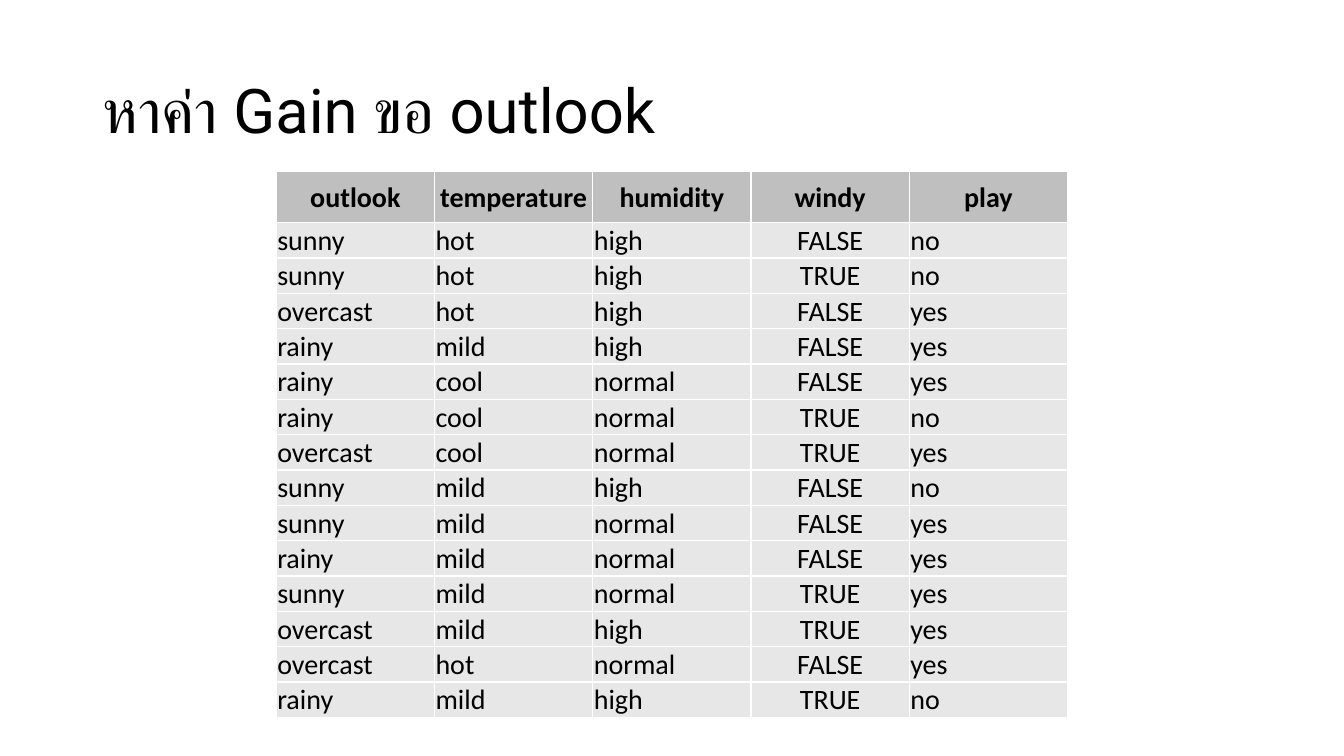
from lxml.etree import SubElement
from pptx import Presentation
from pptx.dml.color import RGBColor
from pptx.enum.text import MSO_ANCHOR, PP_ALIGN
from pptx.oxml.ns import qn
from pptx.util import Inches, Pt

HEADING = "หาค่า Gain ขอ outlook"
ATTRIBUTES = ("outlook", "temperature", "humidity", "windy", "play")
DAYS = [
    ("sunny", "hot", "high", "FALSE", "no"),
    ("sunny", "hot", "high", "TRUE", "no"),
    ("overcast", "hot", "high", "FALSE", "yes"),
    ("rainy", "mild", "high", "FALSE", "yes"),
    ("rainy", "cool", "normal", "FALSE", "yes"),
    ("rainy", "cool", "normal", "TRUE", "no"),
    ("overcast", "cool", "normal", "TRUE", "yes"),
    ("sunny", "mild", "high", "FALSE", "no"),
    ("sunny", "mild", "normal", "FALSE", "yes"),
    ("rainy", "mild", "normal", "FALSE", "yes"),
    ("sunny", "mild", "normal", "TRUE", "yes"),
    ("overcast", "mild", "high", "TRUE", "yes"),
    ("overcast", "hot", "normal", "FALSE", "yes"),
    ("rainy", "mild", "high", "TRUE", "no"),
]

BLACK = RGBColor(0x00, 0x00, 0x00)
WHITE = RGBColor(0xFF, 0xFF, 0xFF)
HEADER_GRAY = RGBColor(0xBF, 0xBF, 0xBF)
BODY_GRAY = RGBColor(0xE7, 0xE7, 0xE7)

COLUMN_WIDTH = Inches(1.57)
HEADER_HEIGHT = Inches(0.51)
DAY_HEIGHT = Inches(0.34)


def add_text(paragraph, text, font_name, size, bold=False):
    run = paragraph.add_run()
    run.text = text
    run.font.name = font_name
    run.font.size = Pt(size)
    run.font.bold = bold
    run.font.color.rgb = BLACK


def add_borders(cell):
    properties = cell._tc.get_or_add_tcPr()
    for side in ("lnL", "lnR", "lnT", "lnB"):
        border = SubElement(properties, qn(f"a:{side}"), w=str(Pt(1)))
        fill = SubElement(border, qn("a:solidFill"))
        SubElement(fill, qn("a:srgbClr"), val=str(WHITE))


def fill_cell(cell, text, is_header, centered):
    cell.margin_left = cell.margin_top = cell.margin_right = Inches(0.01)
    cell.margin_bottom = 0
    cell.vertical_anchor = MSO_ANCHOR.MIDDLE if is_header else MSO_ANCHOR.BOTTOM
    add_borders(cell)
    cell.fill.solid()
    cell.fill.fore_color.rgb = HEADER_GRAY if is_header else BODY_GRAY
    paragraph = cell.text_frame.paragraphs[0]
    paragraph.alignment = PP_ALIGN.CENTER if centered else PP_ALIGN.LEFT
    add_text(paragraph, text, "Calibri", 20, is_header)


presentation = Presentation()
presentation.slide_width = Inches(13.33)
presentation.slide_height = Inches(7.5)
slide = presentation.slides.add_slide(presentation.slide_layouts[5])

heading = slide.shapes.title
heading.left, heading.top = Inches(0.92), Inches(0.4)
heading.width, heading.height = Inches(11.5), Inches(1.45)
heading.text_frame.vertical_anchor = MSO_ANCHOR.MIDDLE
heading_line = heading.text_frame.paragraphs[0]
heading_line.alignment = PP_ALIGN.LEFT
heading_line.line_spacing = 0.9
add_text(heading_line, HEADING, "Roboto", 44)

records = [ATTRIBUTES] + DAYS
weather = slide.shapes.add_table(
    len(records), len(ATTRIBUTES), Inches(2.74), Inches(1.7),
    COLUMN_WIDTH * len(ATTRIBUTES), HEADER_HEIGHT + DAY_HEIGHT * len(DAYS),
).table
for column in weather.columns:
    column.width = COLUMN_WIDTH
for row_index, record in enumerate(records):
    is_header = row_index == 0
    weather.rows[row_index].height = HEADER_HEIGHT if is_header else DAY_HEIGHT
    for column_index, (attribute, value) in enumerate(zip(ATTRIBUTES, record)):
        centered = is_header or attribute == "windy"
        fill_cell(weather.cell(row_index, column_index), value, is_header, centered)

presentation.save("out.pptx")
